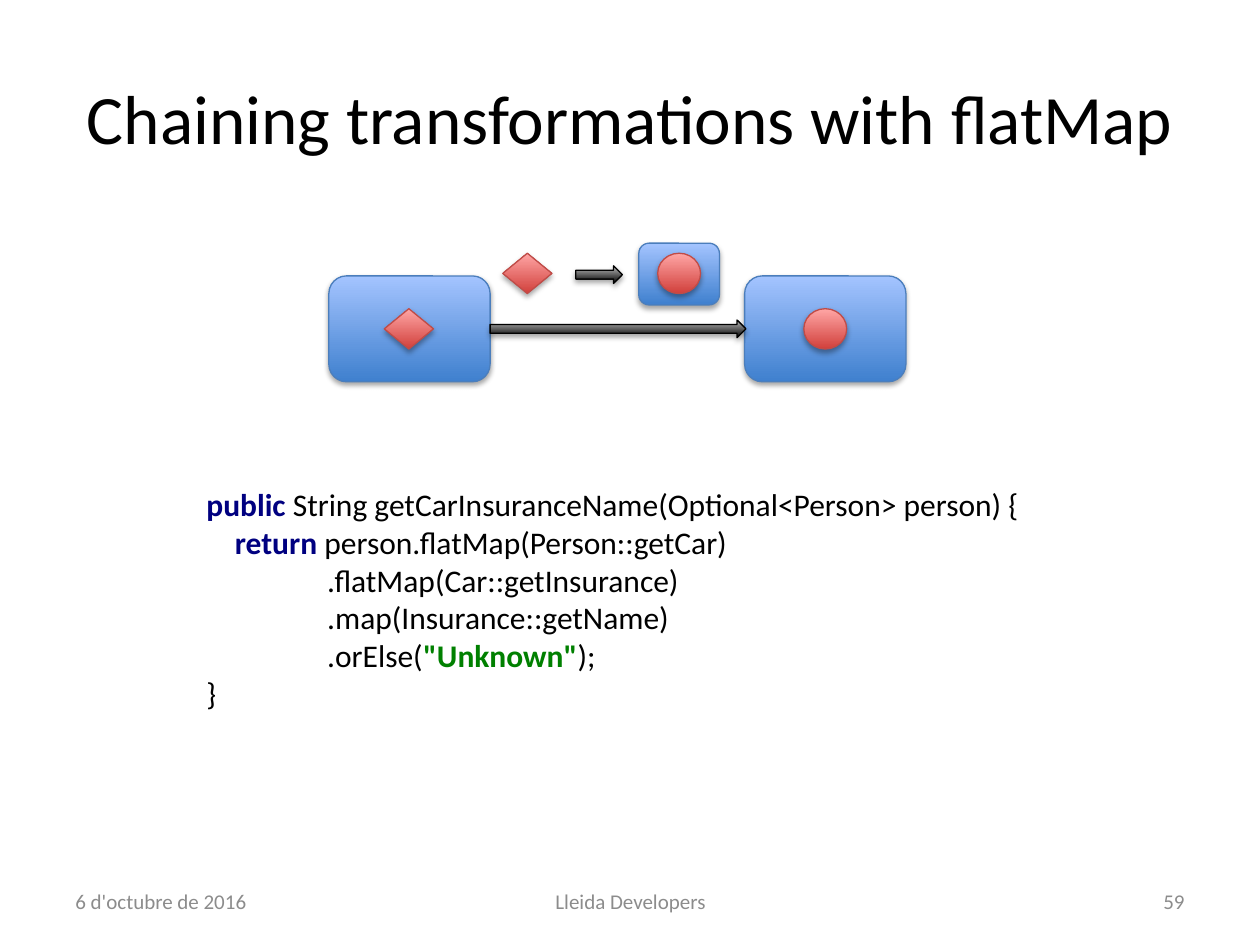
import pptx
import pptx.util
import pptx.dml.color
import pptx.enum.shapes
import pptx.enum.text
import pptx.oxml
import pptx.oxml.ns

Inches, Pt = pptx.util.Inches, pptx.util.Pt
RGBColor = pptx.dml.color.RGBColor
MSO_SHAPE = pptx.enum.shapes.MSO_SHAPE
PP_ALIGN = pptx.enum.text.PP_ALIGN
MSO_ANCHOR = pptx.enum.text.MSO_ANCHOR

FONT = "Calibri"
BLACK = RGBColor(0x00, 0x00, 0x00)
GRAY = RGBColor(0x8C, 0x8C, 0x8C)
KEYWORD = RGBColor(0x00, 0x00, 0x80)
STRING = RGBColor(0x00, 0x80, 0x00)

# Each style: bottom colour, top colour, outline
BLUE_STYLE = (RGBColor(0x3F, 0x80, 0xCE), RGBColor(0xA4, 0xC4, 0xFF), RGBColor(0x4B, 0x7E, 0xBC))
RED_STYLE = (RGBColor(0xD1, 0x40, 0x3C), RGBColor(0xFF, 0xA6, 0xA5), RGBColor(0xBF, 0x4C, 0x48))
BLACK_STYLE = (BLACK, RGBColor(0xBD, 0xBD, 0xBD), BLACK)

SHADOW = (
    f'<a:outerShdw {pptx.oxml.ns.nsdecls("a")} blurRad="{Pt(3.1)}" dist="{Pt(1.8)}" '
    'dir="5400000" rotWithShape="0"><a:srgbClr val="000000"><a:alpha val="35000"/>'
    '</a:srgbClr></a:outerShdw>'
)

CODE = [
    [("public ", KEYWORD), ("String getCarInsuranceName(Optional<Person> person) {", BLACK)],
    [("    ", BLACK), ("return ", KEYWORD), ("person.flatMap(Person::getCar)", BLACK)],
    [("                 .flatMap(Car::getInsurance)", BLACK)],
    [("                 .map(Insurance::getName)", BLACK)],
    [("                 .orElse(", BLACK), ('"Unknown"', STRING), (");", BLACK)],
    [("}", BLACK)],
]


def add_run(p, text, size, color, bold=False):
    r = p.add_run()
    r.text = text
    r.font.name = FONT
    r.font.size = Pt(size)
    r.font.bold = bold
    r.font.color.rgb = color


def add_box(s, left, top, width, height, anchor=MSO_ANCHOR.MIDDLE):
    box = s.shapes.add_textbox(Inches(left), Inches(top), Inches(width), Inches(height))
    tf = box.text_frame
    tf.word_wrap = True
    tf.vertical_anchor = anchor
    return tf


def add_label(s, text, left, top, width, height, size, color, align):
    p = add_box(s, left, top, width, height).paragraphs[0]
    p.alignment = align
    add_run(p, text, size, color)


def add_code(s, lines, left, top, width, height):
    p = add_box(s, left, top, width, height, MSO_ANCHOR.TOP).paragraphs[0]
    for i, line in enumerate(lines):
        if i:
            p.add_line_break()
        for text, color in line:
            add_run(p, text, 18, color, bold=color != BLACK)


def add_glossy(s, kind, style, left, top, width, height):
    """Preset shape with a vertical gradient, thin outline and soft shadow."""
    sp = s.shapes.add_shape(kind, Inches(left), Inches(top), Inches(width), Inches(height))
    bottom, top_color, outline = style
    sp.fill.gradient()
    sp.fill.gradient_angle = 90
    for stop, color in zip(sp.fill.gradient_stops, (bottom, top_color)):
        stop.color.rgb = color
    sp.line.color.rgb = outline
    sp.line.width = Pt(0.75)
    sp.shadow.inherit = False
    effects = sp._element.spPr.find(pptx.oxml.ns.qn("a:effectLst"))
    effects.append(pptx.oxml.parse_xml(SHADOW))


def add_container(s, left, top, width=1.28, height=0.84):
    add_glossy(s, MSO_SHAPE.ROUNDED_RECTANGLE, BLUE_STYLE, left, top, width, height)


def add_diamond(s, left, top):
    add_glossy(s, MSO_SHAPE.DIAMOND, RED_STYLE, left, top, 0.39, 0.32)


def add_circle(s, left, top):
    add_glossy(s, MSO_SHAPE.OVAL, RED_STYLE, left, top, 0.34, 0.32)


def add_arrow(s, left, top, width):
    add_glossy(s, MSO_SHAPE.RIGHT_ARROW, BLACK_STYLE, left, top, width, 0.14)


def main():
    prs = pptx.Presentation()
    prs.slide_width, prs.slide_height = Inches(10), Inches(7.5)
    s = prs.slides.add_slide(prs.slide_layouts[6])

    # Title
    add_label(s, "Chaining transformations with flatMap",
              0.5, 0.3, 9, 1.25, 39.6, BLACK, PP_ALIGN.CENTER)

    # Footer
    for text, left, width, align in [
        ("6 d'octubre de 2016", 0.5, 2.33, PP_ALIGN.LEFT),
        ("Lleida Developers", 3.42, 3.17, PP_ALIGN.CENTER),
        ("59", 7.17, 2.33, PP_ALIGN.RIGHT),
    ]:
        add_label(s, text, left, 6.95, width, 0.4, 12, GRAY, align)

    # Function passed to flatMap: value to wrapped value
    add_diamond(s, 3.99, 2.01)
    add_container(s, 5.07, 1.93, 0.64, 0.49)
    add_circle(s, 5.22, 2.01)
    add_arrow(s, 4.57, 2.11, 0.37)

    # Whole transformation: container to container
    add_container(s, 2.61, 2.19)
    add_diamond(s, 3.05, 2.45)
    add_container(s, 5.91, 2.19)
    add_circle(s, 6.38, 2.45)
    add_arrow(s, 3.89, 2.54, 2.03)

    # Code sample
    add_code(s, CODE, 1.54, 3.8, 7.07, 1.92)

    prs.save("out.pptx")


if __name__ == "__main__":
    main()
